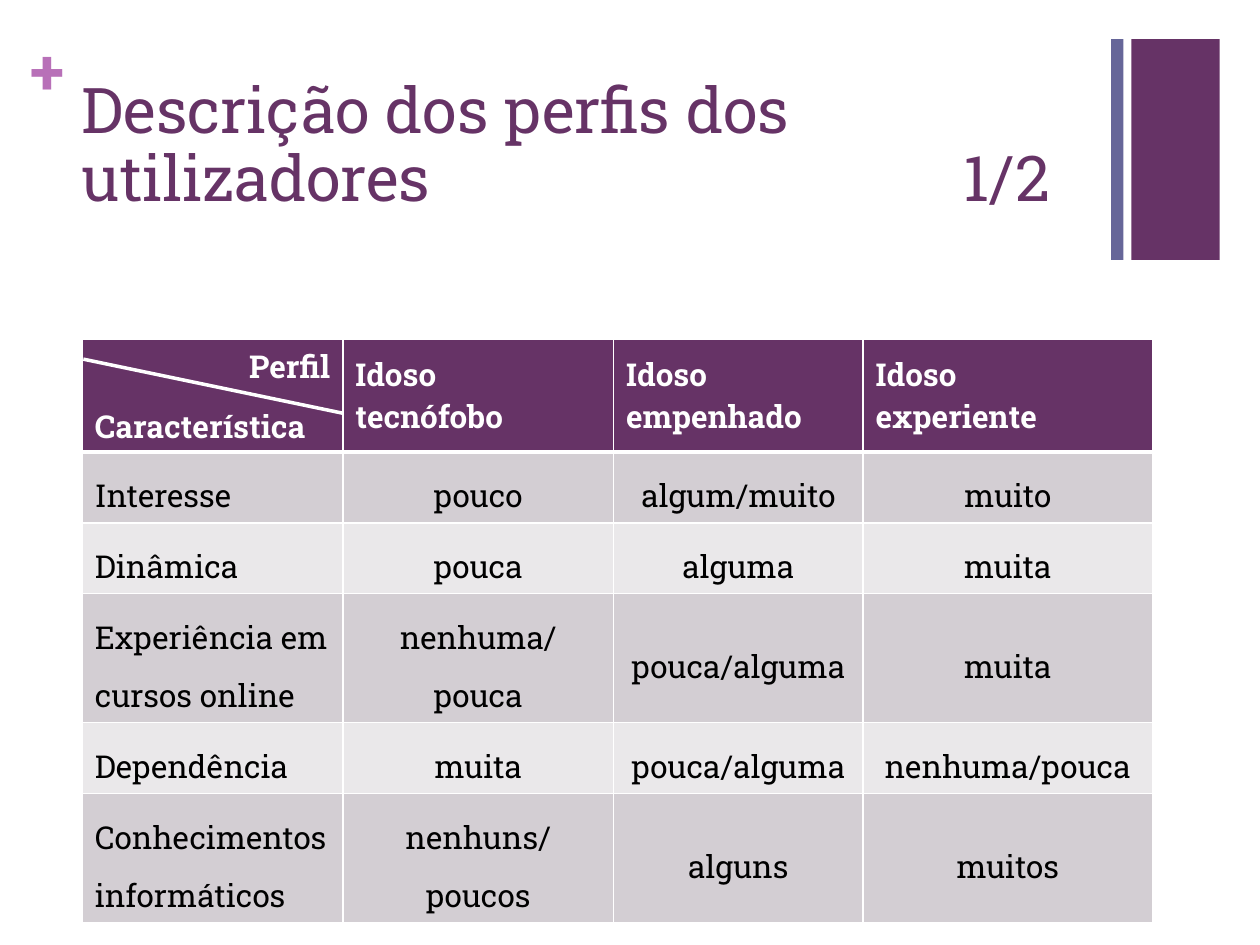
import pptx
import pptx.dml.color
import pptx.enum.shapes
import pptx.enum.text
import pptx.oxml
import pptx.oxml.ns
import pptx.util
from pptx.util import Cm

RGBColor = pptx.dml.color.RGBColor
Pt = pptx.util.Pt
Align = pptx.enum.text.PP_ALIGN
Anchor = pptx.enum.text.MSO_ANCHOR

PURPLE = RGBColor(0x66, 0x33, 0x66)
BLUE = RGBColor(0x66, 0x66, 0x99)
ORCHID = RGBColor(0xB8, 0x70, 0xB8)
WHITE = RGBColor(0xFF, 0xFF, 0xFF)
BLACK = RGBColor(0x00, 0x00, 0x00)
BANDS = RGBColor(0xD3, 0xCE, 0xD3), RGBColor(0xEA, 0xE8, 0xEA)

HEADER = ["Perfil\nCaracterística", "Idoso\ntecnófobo",
          "Idoso empenhado", "Idoso\nexperiente"]
PROFILES = [
    ["Interesse", "pouco", "algum/muito", "muito"],
    ["Dinâmica", "pouca", "alguma", "muita"],
    ["Experiência em cursos online", "nenhuma/pouca", "pouca/alguma", "muita"],
    ["Dependência", "muita", "pouca/alguma", "nenhuma/pouca"],
    ["Conhecimentos informáticos", "nenhuns/poucos", "alguns", "muitos"],
]
COLUMN_WIDTHS = [5.25, 5.46, 5.03, 5.83]
ROW_HEIGHTS = [2.28, 1.43, 1.43, 2.6, 1.43, 2.6]


def apply(target, values):
    for name, value in values.items():
        setattr(target, name, value)


class SlideBuilder:
    font = "Roboto Slab"

    def __init__(self, page):
        self.page = page

    def fill_text(self, frame, text, size, color, bold=False, **layout):
        for index, line in enumerate(text.split("\n")):
            para = frame.add_paragraph() if index else frame.paragraphs[0]
            apply(para, layout)
            span = para.add_run()
            span.text = line
            apply(span.font, {"name": self.font, "size": Pt(size), "bold": bold})
            span.font.color.rgb = color

    def bar(self, left, top, width, height, color):
        shape = self.page.shapes.add_shape(
            pptx.enum.shapes.MSO_SHAPE.RECTANGLE,
            Cm(left), Cm(top), Cm(width), Cm(height))
        shape.shadow.inherit = False
        shape.fill.solid()
        shape.fill.fore_color.rgb = color
        shape.line.fill.background()

    def text(self, place, text, size, color, margins, bold=False, **layout):
        box = self.page.shapes.add_textbox(*map(Cm, place))
        frame = box.text_frame
        sides = ("margin_left", "margin_top", "margin_right", "margin_bottom")
        apply(frame, dict(zip(sides, map(Cm, margins))))
        apply(frame, {"word_wrap": True, "vertical_anchor": Anchor.TOP})
        self.fill_text(frame, text, size, color, bold, **layout)
        return frame

    def tab_stop(self, para, position):
        properties = para._p.get_or_add_pPr()
        properties.append(pptx.oxml.parse_xml(
            f'<a:tabLst {pptx.oxml.ns.nsdecls("a")}>'
            f'<a:tab pos="{Cm(position)}" algn="l"/></a:tabLst>'))

    def borders(self, cell, widths):
        properties = cell._tc.get_or_add_tcPr()
        for side, width in zip("LRTB", widths):
            properties.append(pptx.oxml.parse_xml(
                f'<a:ln{side} {pptx.oxml.ns.nsdecls("a")} w="{Pt(width)}">'
                f'<a:solidFill><a:srgbClr val="{WHITE}"/></a:solidFill>'
                f'</a:ln{side}>'))

    def cell(self, cell, text, fill, color, widths, anchor, **layout):
        self.borders(cell, widths)
        cell.fill.solid()
        cell.fill.fore_color.rgb = fill
        cell.vertical_anchor = anchor
        self.fill_text(cell.text_frame, text, 18, color, **layout)

    def table(self, left, top):
        rows = [HEADER] + PROFILES
        table = self.page.shapes.add_table(
            len(rows), len(HEADER), Cm(left), Cm(top),
            Cm(sum(COLUMN_WIDTHS)), Cm(sum(ROW_HEIGHTS))).table
        for column, width in zip(table.columns, COLUMN_WIDTHS):
            column.width = Cm(width)
        for row, height in zip(table.rows, ROW_HEIGHTS):
            row.height = Cm(height)
        for y, texts in enumerate(rows):
            for x, text in enumerate(texts):
                anchor = Anchor.MIDDLE if x else Anchor.TOP
                if y == 0:
                    self.cell(table.cell(y, x), text, PURPLE, WHITE,
                              (1, 1, 1, 3), anchor, bold=True)
                else:
                    self.cell(table.cell(y, x), text, BANDS[(y - 1) % 2], BLACK,
                              (1, 1, 3 if y == 1 else 1, 1), anchor,
                              line_spacing=1.4,
                              alignment=Align.CENTER if x else Align.LEFT)
        corner = table.cell(0, 0).text_frame.paragraphs[0]
        apply(corner, {"alignment": Align.RIGHT, "space_after": Pt(10.5)})

    def line(self, start, end, color, width):
        line = self.page.shapes.add_connector(
            pptx.enum.shapes.MSO_CONNECTOR.STRAIGHT, *map(Cm, start + end))
        line.line.color.rgb = color
        line.line.width = Pt(width)
        line._element.spPr.append(pptx.oxml.parse_xml(
            f'<a:effectLst {pptx.oxml.ns.nsdecls("a")}/>'))


def main():
    deck = pptx.Presentation()
    apply(deck, {"slide_width": Cm(25.4), "slide_height": Cm(19.05)})
    builder = SlideBuilder(deck.slides.add_slide(deck.slide_layouts[6]))
    builder.bar(22.81, 0.79, 1.78, 4.45, PURPLE)
    builder.text((0.61, 0.64, 0.74, 1.55), "+", 36, ORCHID, (0, 0, 0, 0), bold=True)
    builder.bar(22.4, 0.79, 0.25, 4.45, BLUE)
    title = builder.text((1.4, 1.35, 20.98, 3.1),
                         "Descrição dos perfis dos utilizadores\t1/2",
                         36, PURPLE, (0.25, 0.25, 0.25, 0), line_spacing=0.9)
    builder.tab_stop(title.paragraphs[0], 17.78)
    builder.table(1.66, 6.83)
    builder.line((1.68, 7.24), (6.91, 8.33), WHITE, 2)
    deck.save("out.pptx")


if __name__ == "__main__":
    main()
